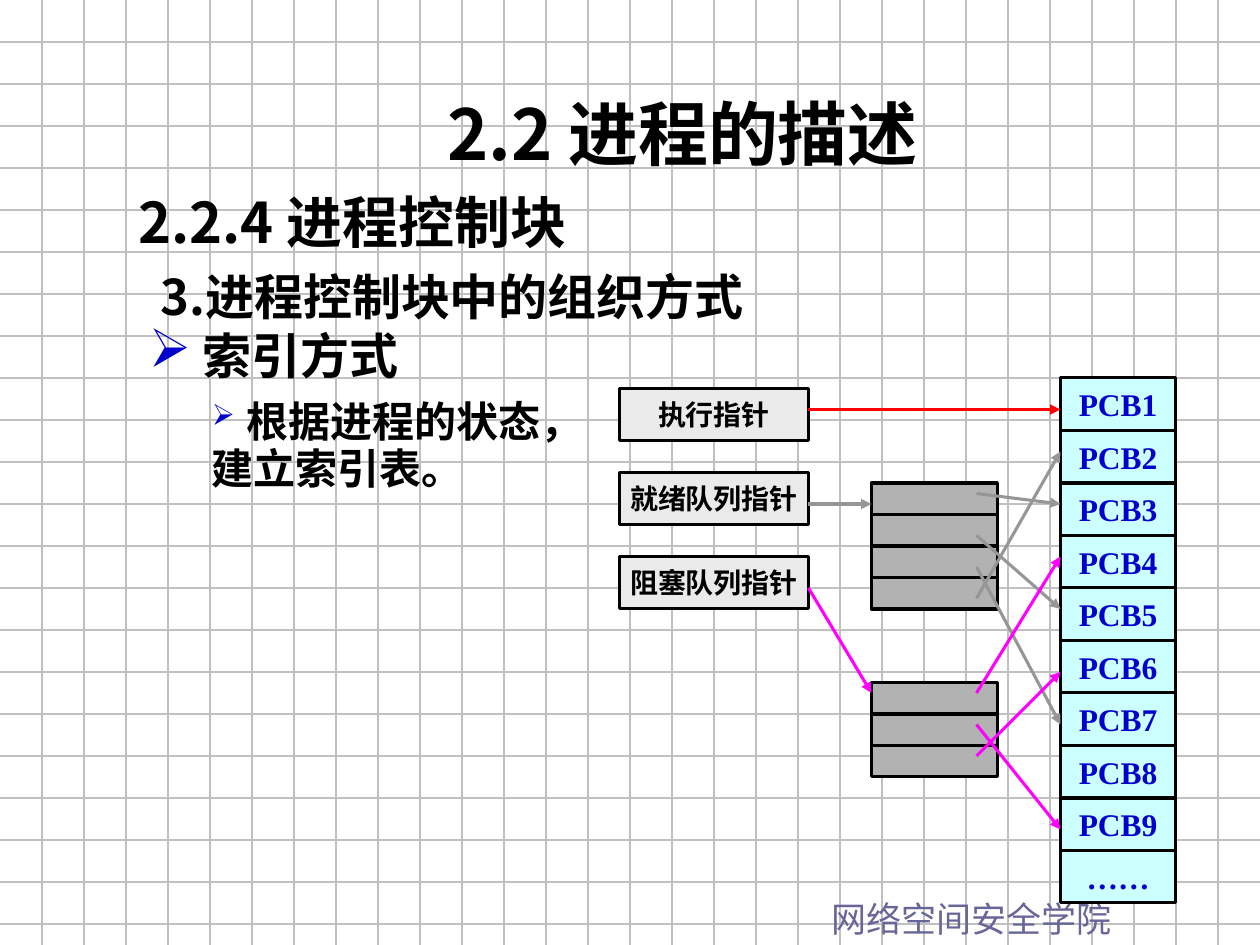
from lxml import etree
from pptx import Presentation, util as u
from pptx.dml.color import RGBColor
from pptx.enum import shapes, text
from pptx.oxml import ns

EMU_PER_PX = 9525
WIDTH, HEIGHT = 960, 720
COLORS = {
    "grid": "C0C0C0", "footer": "666699", "black": "000000",
    "blue": "0000CC", "pcb": "CCFFFF", "pointer": "EAEAEA",
    "index": "B2B2B2", "running": "FF0000", "ready": "969696",
    "blocked": "FF00FF",
}
SERIF, SANS, SANS_JP = "Times New Roman", "Noto Sans CJK SC", "Noto Sans CJK JP"


def px(n):
    return u.Emu(n * EMU_PER_PX)


def rgb(name):
    return RGBColor.from_string(COLORS[name])


def add_xml(parent, tag, **attrs):
    return etree.SubElement(parent, ns.qn(tag), attrs)


class Board:
    """Holds the line and text style and draws on one slide."""

    line_width = 1.75

    def __init__(self, s):
        self.s = s

    def line(self, x1, y1, x2, y2, color, width=line_width, arrow=False):
        c = self.s.shapes.add_connector(
            shapes.MSO_CONNECTOR.STRAIGHT, px(x1), px(y1), px(x2), px(y2))
        c.line.color.rgb = rgb(color)
        c.line.width = u.Pt(width)
        if arrow:
            add_xml(c.line._get_or_add_ln(), "a:tailEnd", type="triangle")
        add_xml(c._element.spPr, "a:effectLst")

    def run(self, p, words, font, size, color="black", bold=True):
        r = p.add_run()
        r.text = words
        style = {"name": font, "size": u.Pt(size), "bold": bold}
        for key, value in style.items():
            setattr(r.font, key, value)
        r.font.color.rgb = rgb(color)
        east_asian = SANS if font == SERIF else font
        add_xml(r._r.get_or_add_rPr(), "a:ea", typeface=east_asian)

    def cell(self, x, y, w, h, fill, words="", size=18, color="black"):
        sp = self.s.shapes.add_shape(
            shapes.MSO_SHAPE.RECTANGLE, px(x), px(y), px(w), px(h))
        sp.shadow.inherit = False
        sp.fill.solid()
        sp.fill.fore_color.rgb = rgb(fill)
        sp.line.color.rgb = rgb("black")
        sp.line.width = u.Pt(self.line_width)
        if words:
            tf = sp.text_frame
            tf.word_wrap = False
            tf.vertical_anchor = text.MSO_ANCHOR.MIDDLE
            p = tf.paragraphs[0]
            p.alignment = text.PP_ALIGN.CENTER
            self.run(p, words, SERIF, size, color)

    def textbox(self, x, y, w, h):
        tf = self.s.shapes.add_textbox(px(x), px(y), px(w), px(h)).text_frame
        tf.word_wrap = True
        tf.auto_size = text.MSO_AUTO_SIZE.SHAPE_TO_FIT_TEXT
        return tf

    def paragraph(self, tf, runs, margin=0, indent=0, bullet_size=None, **formats):
        """Fill the empty first paragraph or add one; runs are run() arguments."""
        first = tf.paragraphs[0]
        p = tf.add_paragraph() if first.runs else first
        pPr = p._p.get_or_add_pPr()
        pPr.set("marL", str(px(margin)))
        pPr.set("indent", str(px(indent)))
        for key, value in formats.items():
            setattr(p, key, value)
        if bullet_size:
            color = add_xml(pPr, "a:buClr")
            add_xml(color, "a:srgbClr", val=COLORS["blue"])
            add_xml(pPr, "a:buSzPct", val=str(bullet_size * 1000))
            add_xml(pPr, "a:buChar", char="➢")
        for args in runs:
            self.run(p, *args)


def draw_grid(board, step=32):
    for y in range(step, HEIGHT, step):
        board.line(0, y, WIDTH, y, "grid", 0.75)
    for x in range(step, WIDTH, step):
        board.line(x, 0, x, HEIGHT, "grid", 0.75)


def draw_text(board):
    footer = board.textbox(624, 679, 336, 42)
    board.paragraph(footer, [("网络空间安全学院", SANS_JP, 20, "footer", False)])

    headings = board.textbox(96, 128, 824, 125)
    for runs in (
        [("2.2.4 ", SANS, 32), ("进程控制块", SERIF, 32)],
        [("  3.进程控制块中的", SANS, 28), ("组织方式", SERIF, 28)],
    ):
        board.paragraph(headings, runs, margin=48, indent=-48, line_spacing=1.2)

    method = board.textbox(104, 248, 320, 133)
    board.paragraph(method, [(" 索引方式", SERIF, 28)],
                    bullet_size=110, line_spacing=0.9)
    board.paragraph(method,
                    [(" ", SERIF, 28), ("根据进程的状态，建立索引表。", SERIF, 24)],
                    margin=48, bullet_size=60, level=1,
                    line_spacing=0.9, space_before=u.Pt(6))

    title = board.textbox(136, 64, 768, 74)
    board.paragraph(title, [("2.2 进程的描述", SANS_JP, 40)],
                    alignment=text.PP_ALIGN.CENTER)


def draw_index_diagram(board):
    pointer_x, pointer_w = 472, 144
    index_x, index_w, index_h = 664, 96, 24
    pcb_x, pcb_y, pcb_h = 808, 288, 40
    pointer_end, entry_x = pointer_x + pointer_w, 744

    for i, name in enumerate([f"PCB{n}" for n in range(1, 10)] + ["……"]):
        board.cell(pcb_x, pcb_y + i * pcb_h, 88, pcb_h, "pcb", name, 18, "blue")
    for i, name in enumerate(["执行指针", "就绪队列指针", "阻塞队列指针"]):
        board.cell(pointer_x, 296 + i * 64, pointer_w, 40, "pointer", name, 16)
    for top, rows in ((368, 4), (520, 3)):
        for i in range(rows):
            board.cell(index_x, top + i * index_h, index_w, index_h, "index")

    for y1, x2, y2, color in (
        (312, pcb_x, 312, "running"),
        (384, index_x, 384, "ready"),
        (448, index_x, 528, "blocked"),
    ):
        board.line(pointer_end, y1, x2, y2, color, arrow=True)
    links = {
        "ready": [(376, 384), (408, 464), (432, 552), (456, 344)],
        "blocked": [(528, 424), (576, 512), (552, 632)],
    }
    for color, ends in links.items():
        for y1, y2 in ends:
            board.line(entry_x, y1, pcb_x, y2, color, arrow=True)


def main():
    prs = Presentation()
    prs.slide_width, prs.slide_height = px(WIDTH), px(HEIGHT)
    board = Board(prs.slides.add_slide(prs.slide_layouts[6]))
    draw_grid(board)
    draw_text(board)
    draw_index_diagram(board)
    prs.save("out.pptx")


if __name__ == "__main__":
    main()
